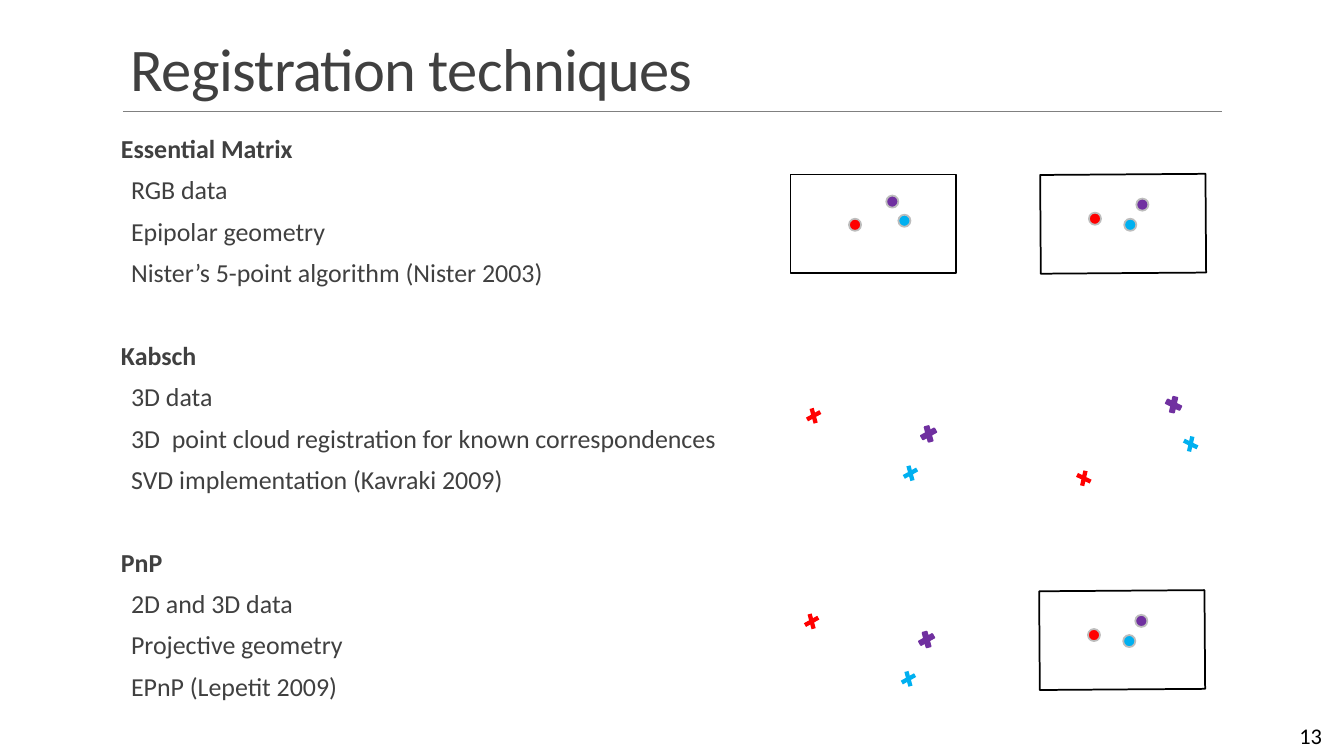
from lxml.etree import SubElement
from pptx import Presentation
from pptx.dml.color import RGBColor
from pptx.enum.shapes import MSO_CONNECTOR, MSO_SHAPE
from pptx.enum.text import MSO_ANCHOR, PP_ALIGN
from pptx.oxml.ns import qn
from pptx.util import Inches, Pt

RED, PURPLE, BLUE = "FF0000", "7030A0", "00B0F0"
GRAY = "404040"
TOPICS = [
    ("Essential Matrix", ["RGB data", "Epipolar geometry",
                          "Nister’s 5-point algorithm (Nister 2003)"]),
    ("Kabsch", ["3D data", "3D  point cloud registration for known correspondences",
                "SVD implementation (Kavraki 2009)"]),
    ("PnP", ["2D and 3D data", "Projective geometry", "EPnP (Lepetit 2009)"]),
]
LEFT_DOTS = [(RED, 0.58, 0.44), (PURPLE, 0.95, 0.21), (BLUE, 1.07, 0.4)]
RIGHT_DOTS = [(RED, 0.48, 0.38), (PURPLE, 0.95, 0.24), (BLUE, 0.83, 0.44)]
LEFT_MARKS = [(BLUE, 0.96, 0.57), (RED, 0, 0), (PURPLE, 1.14, 0.18)]
RIGHT_MARKS = [(BLUE, 1.06, 0.39), (RED, 0, 0.73), (PURPLE, 0.89, 0)]


def color(code):
    return RGBColor.from_string(code)


def add_shape(slide, kind, box, fill, line=None, turn=0):
    shape = slide.shapes.add_shape(kind, *map(Inches, box))
    shape.shadow.inherit = False
    shape.rotation = turn
    shape.fill.solid()
    shape.fill.fore_color.rgb = color(fill)
    if line:
        shape.line.color.rgb = color(line)
        shape.line.width = Pt(1.25)
    else:
        shape.line.fill.background()


def add_box(slide, box, anchor):
    frame = slide.shapes.add_textbox(*map(Inches, box)).text_frame
    frame.word_wrap = True
    frame.vertical_anchor = anchor
    return frame


def add_run(para, text, size, code, bold=False):
    run = para.add_run()
    run.text = text
    font = run.font
    font.name, font.size, font.bold = "Calibri", Pt(size), bold
    font.color.rgb = color(code)
    return run


def add_title(slide, box):
    left, top, width, height = box
    para = add_box(slide, box, MSO_ANCHOR.BOTTOM).paragraphs[0]
    para.line_spacing = 0.85
    run = add_run(para, "Registration techniques", 43.2, GRAY)
    run.font._element.set("spc", "-50")
    y = top + height + 0.02
    rule = slide.shapes.add_connector(
        MSO_CONNECTOR.STRAIGHT, Inches(left + 0.02), Inches(y),
        Inches(left + width - 0.08), Inches(y))
    rule.line.color.rgb = color("808080")
    rule.line.width = Pt(0.5)
    SubElement(rule._element.spPr, qn("a:effectLst"))


def add_topics(slide, box):
    frame = add_box(slide, box, MSO_ANCHOR.TOP)
    frame.margin_left = frame.margin_right = 0
    for index, (head, items) in enumerate(TOPICS):
        for row, text in enumerate([head, *items]):
            first = index == row == 0
            para = frame.paragraphs[0] if first else frame.add_paragraph()
            para.line_spacing = 0.7
            para.space_after = Pt(2)
            if not first:
                para.space_before = Pt(12 if row else 41.5)
            if row:
                para._p.get_or_add_pPr().set("marL", str(Inches(0.1)))
            add_run(para, text, 18.5, GRAY, row == 0)


def add_view(slide, box, dots, turn=0):
    left, top = box[:2]
    add_shape(slide, MSO_SHAPE.RECTANGLE, box, "FFFFFF", "000000", turn)
    for fill, x, y in dots:
        add_shape(slide, MSO_SHAPE.OVAL, (left + x, top + y, 0.12, 0.12), fill, "BDBDBD")


def add_cloud(slide, left, top, marks, turn):
    for fill, x, y in marks:
        line = PURPLE if fill == PURPLE else None
        add_shape(slide, MSO_SHAPE.MATH_MULTIPLY, (left + x, top + y, 0.18, 0.23),
                  fill, line, turn)


def add_number(slide, box):
    para = add_box(slide, box, MSO_ANCHOR.MIDDLE).paragraphs[0]
    para.alignment = PP_ALIGN.RIGHT
    add_run(para, "13", 16, "000000")


def main():
    deck = Presentation()
    deck.slide_width, deck.slide_height = Inches(13.33), Inches(7.5)
    slide = deck.slides.add_slide(deck.slide_layouts[6])
    add_title(slide, (1.2, 0.31, 11, 0.77))
    add_topics(slide, (1.2, 1.35, 6.25, 5.83))
    add_view(slide, (7.84, 1.73, 1.64, 0.98), LEFT_DOTS)
    add_view(slide, (10.32, 1.73, 1.64, 0.98), RIGHT_DOTS, 359.6)
    add_cloud(slide, 7.98, 4.01, LEFT_MARKS, 22.8)
    add_cloud(slide, 10.66, 3.9, RIGHT_MARKS, 334.5)
    add_cloud(slide, 7.96, 6.05, LEFT_MARKS, 22.8)
    add_view(slide, (10.31, 5.86, 1.64, 0.98), RIGHT_DOTS, 359.6)
    add_number(slide, (11.78, 7.1, 1.43, 0.4))
    deck.save("out.pptx")


if __name__ == "__main__":
    main()
